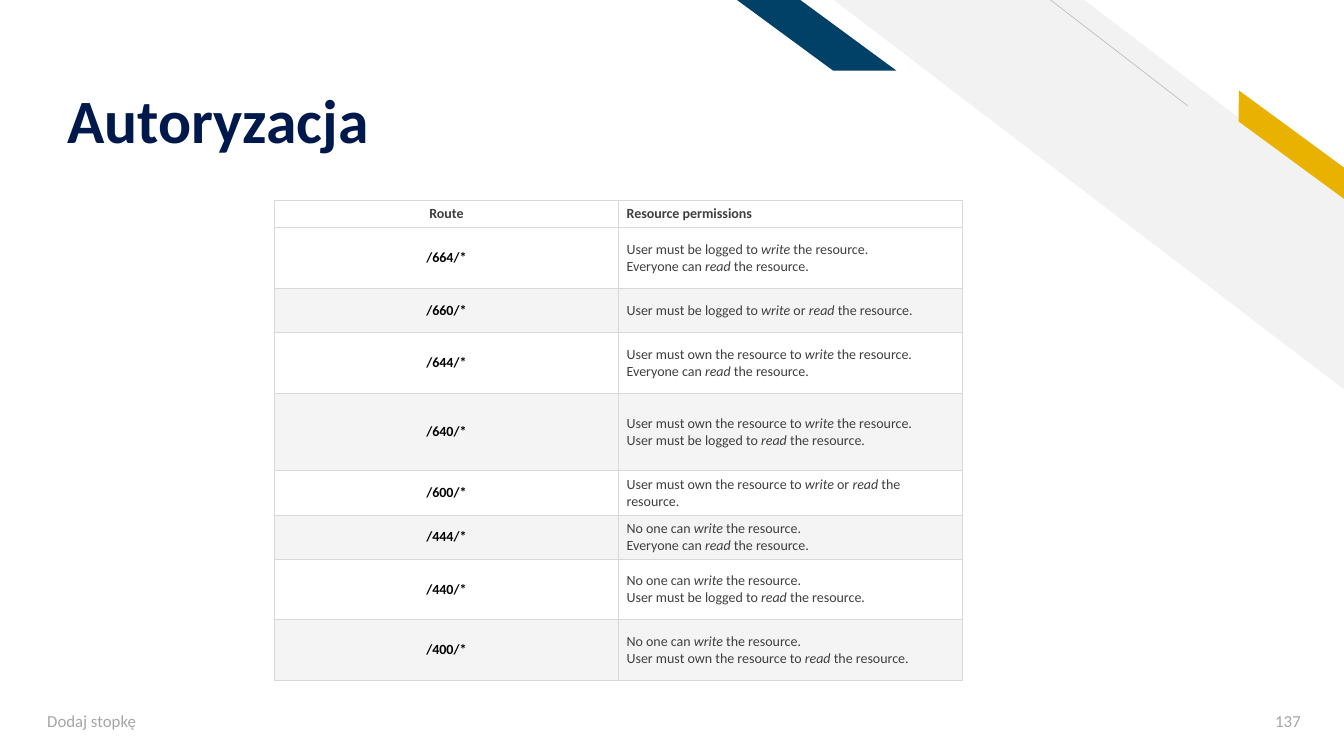
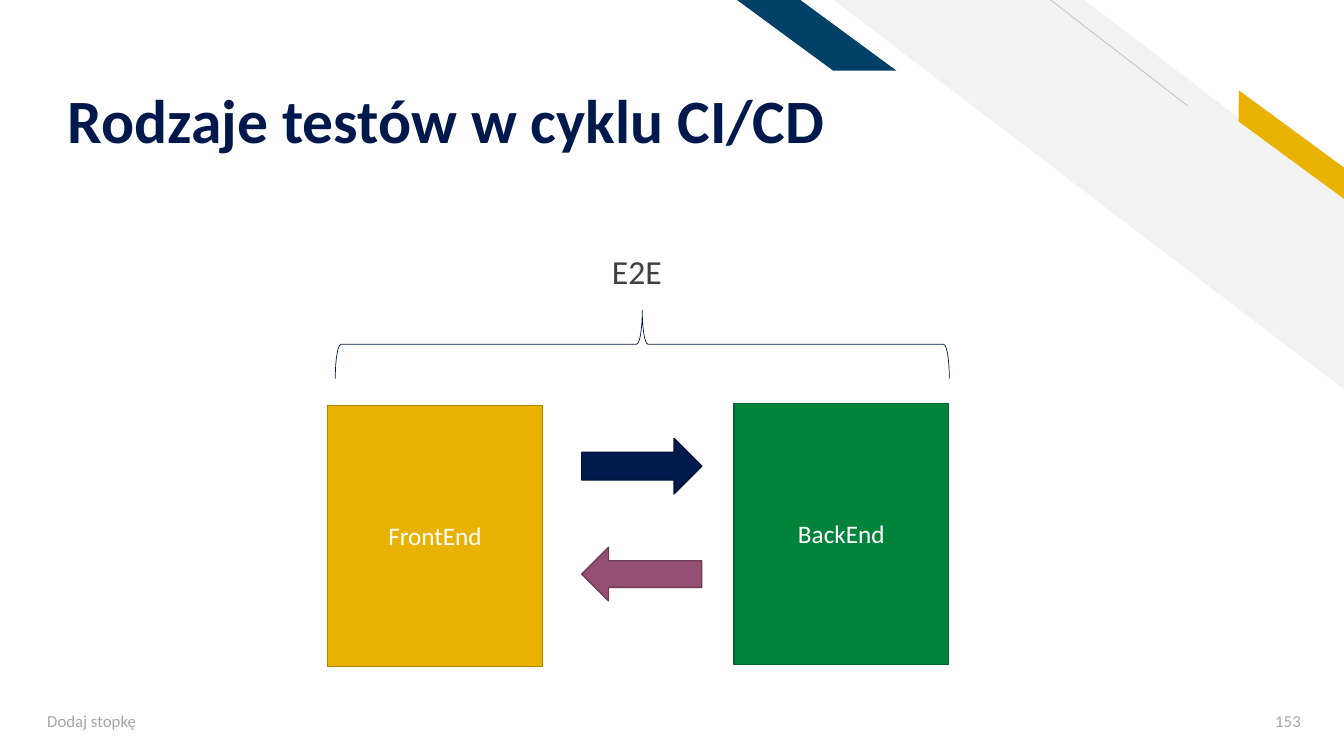
from dataclasses import dataclass
from typing import Any, Optional

from lxml.etree import SubElement
from pptx import Presentation
from pptx.dml.color import RGBColor
from pptx.enum.shapes import MSO_CONNECTOR as Connector, MSO_SHAPE as Preset
from pptx.enum.text import MSO_ANCHOR as Anchor, MSO_AUTO_SIZE as AutoSize, PP_ALIGN as Align
from pptx.oxml.ns import qn
from pptx.util import Inches, Pt


@dataclass(frozen=True)
class Theme:
    font: str = "Calibri"
    navy: str = "00194C"
    navy_edge: str = "001238"
    teal: str = "014067"
    gold: str = "EAB200"
    gold_edge: str = "AD8400"
    green: str = "00843B"
    green_edge: str = "00622C"
    plum: str = "954F72"
    plum_edge: str = "6E3A54"
    pale: str = "F2F2F2"
    stripe: str = "F4F4F4"
    thin: str = "BFBFBF"
    border: str = "D8D8D8"
    muted: str = "A5A5A5"
    body: str = "3F3F3F"
    black: str = "000000"
    white: str = "FFFFFF"
    title_size: int = 44
    label_size: int = 24
    box_size: int = 18
    footer_size: int = 12
    table_size: int = 10


THEME = Theme()


@dataclass(frozen=True)
class Frame:
    left: float
    top: float
    width: float
    height: float

    def lengths(self) -> tuple:
        return tuple(Inches(value) for value in (self.left, self.top, self.width, self.height))


@dataclass(frozen=True)
class Figure:
    preset: Any
    frame: Frame
    fill: Optional[str] = None
    edge: Optional[str] = None
    edge_width: float = 1
    adjust: Optional[float] = None
    rotation: float = 0
    flip: bool = False
    text: str = ""


@dataclass(frozen=True)
class Label:
    frame: Frame
    text: str
    size: int
    color: str
    align: Any = Align.LEFT
    anchor: Any = Anchor.TOP
    grow: bool = False


@dataclass(frozen=True)
class Permission:
    route: str
    lines: tuple
    height: float


DECORATION = (
    Figure(Preset.DIAGONAL_STRIPE, Frame(8.27, 0, 5.07, 3.87), THEME.pale, adjust=0.51, flip=True),
    Figure(Preset.PARALLELOGRAM, Frame(12.07, 1.31, 1.48, 0.25), THEME.gold,
           adjust=0.72, rotation=36.3, flip=True),
    Figure(Preset.PARALLELOGRAM, Frame(7.31, 0, 1.58, 0.7), THEME.teal, adjust=1.36, flip=True),
)
TITLE_FRAME = Frame(0.57, 0.23, 9.11, 1.33)

LOGGED_WRITE = "User must be logged to _write_ the resource."
LOGGED_READ = "User must be logged to _read_ the resource."
OWNER_WRITE = "User must own the resource to _write_ the resource."
OWNER_READ = "User must own the resource to _read_ the resource."
NOBODY_WRITE = "No one can _write_ the resource."
EVERYONE_READ = "Everyone can _read_ the resource."

PERMISSIONS = (
    Permission("/664/*", (LOGGED_WRITE, EVERYONE_READ), 0.6),
    Permission("/660/*", ("User must be logged to _write_ or _read_ the resource.",), 0.44),
    Permission("/644/*", (OWNER_WRITE, EVERYONE_READ), 0.6),
    Permission("/640/*", (OWNER_WRITE, LOGGED_READ), 0.77),
    Permission("/600/*", ("User must own the resource to _write_ or _read_ the resource.",), 0.44),
    Permission("/444/*", (NOBODY_WRITE, EVERYONE_READ), 0.44),
    Permission("/440/*", (NOBODY_WRITE, LOGGED_READ), 0.6),
    Permission("/400/*", (NOBODY_WRITE, OWNER_READ), 0.6),
)
HEADER_HEIGHT = 0.27
TABLE_FRAME = Frame(2.72, 1.99, 6.83, 4.76)

TEST_FIGURES = (
    Figure(Preset.RECTANGLE, Frame(3.25, 4.02, 2.13, 2.59), THEME.gold, THEME.gold_edge, text="FrontEnd"),
    Figure(Preset.RECTANGLE, Frame(7.28, 4, 2.13, 2.59), THEME.green, THEME.green_edge, text="BackEnd"),
    Figure(Preset.RIGHT_ARROW, Frame(5.77, 4.35, 1.19, 0.55), THEME.navy, THEME.navy_edge),
    Figure(Preset.RIGHT_ARROW, Frame(5.77, 5.43, 1.19, 0.53), THEME.plum, THEME.plum_edge, rotation=180),
    Figure(Preset.RIGHT_BRACE, Frame(6.03, 0.37, 0.68, 6.09), edge=THEME.navy, edge_width=0.5, rotation=270),
)
TESTS_LABEL = Label(Frame(5.97, 2.44, 1.39, 0.5), "E2E", THEME.label_size, THEME.body, grow=True)


def assign(target: Any, values: dict) -> None:
    for name, value in values.items():
        setattr(target, name, value)


def paint(fill: Any, color: Optional[str]) -> None:
    if color is None:
        fill.background()
    else:
        fill.solid()
        fill.fore_color.rgb = RGBColor.from_string(color)


def style_font(font: Any, size: int, color: str, bold: bool = False, italic: bool = False) -> None:
    assign(font, {"name": THEME.font, "size": Pt(size), "bold": bold, "italic": italic})
    font.color.rgb = RGBColor.from_string(color)


def draw_figure(page: Any, figure: Figure) -> None:
    shape = page.shapes.add_shape(figure.preset, *figure.frame.lengths())
    shape.shadow.inherit = False
    shape.rotation = figure.rotation
    paint(shape.fill, figure.fill)
    paint(shape.line.fill, figure.edge)
    if figure.edge:
        shape.line.width = Pt(figure.edge_width)
    if figure.adjust is not None:
        shape.adjustments[0] = figure.adjust
    if figure.flip:
        shape.element.spPr.get_or_add_xfrm().set("flipH", "1")
    if figure.text:
        shape.text_frame.vertical_anchor = Anchor.MIDDLE
        para = shape.text_frame.paragraphs[0]
        para.alignment = Align.CENTER
        span = para.add_run()
        span.text = figure.text
        style_font(span.font, THEME.box_size, THEME.white)


def draw_label(page: Any, label: Label) -> None:
    frame = page.shapes.add_textbox(*label.frame.lengths()).text_frame
    assign(frame, {
        "word_wrap": True,
        "vertical_anchor": label.anchor,
        "auto_size": AutoSize.SHAPE_TO_FIT_TEXT if label.grow else AutoSize.NONE,
    })
    para = frame.paragraphs[0]
    para.alignment = label.align
    span = para.add_run()
    span.text = label.text
    style_font(span.font, label.size, label.color)


def draw_thin_line(page: Any) -> None:
    line = page.shapes.add_connector(
        Connector.STRAIGHT, Inches(11.78), Inches(1.05), Inches(10.42), Inches(0))
    line.line.width = Pt(0.5)
    paint(line.line.fill, THEME.thin)
    SubElement(line.element.spPr, qn("a:effectLst"))


def place_title(page: Any, text: str) -> None:
    title = page.shapes.title
    left, top, width, height = TITLE_FRAME.lengths()
    assign(title, {"left": left, "top": top, "width": width, "height": height})
    assign(title.text_frame, {
        "vertical_anchor": Anchor.BOTTOM,
        "auto_size": AutoSize.NONE,
        "word_wrap": True,
        "margin_left": Inches(0.1),
        "margin_right": Inches(0.1),
        "margin_top": Inches(0.05),
        "margin_bottom": Inches(0),
    })
    para = title.text_frame.paragraphs[0]
    assign(para, {"alignment": Align.LEFT, "line_spacing": 0.9})
    span = para.add_run()
    span.text = text
    style_font(span.font, THEME.title_size, THEME.navy, bold=True)
    page.shapes.element.append(title.element)


def add_page(deck: Any, title: str, number: str) -> Any:
    page = deck.slides.add_slide(deck.slide_layouts.get_by_name("Title Only"))
    for figure in DECORATION:
        draw_figure(page, figure)
    draw_thin_line(page)
    place_title(page, title)
    footer = {"size": THEME.footer_size, "color": THEME.muted, "anchor": Anchor.MIDDLE}
    draw_label(page, Label(Frame(0.37, 6.95, 4.5, 0.4), "Dodaj stopkę", **footer))
    draw_label(page, Label(Frame(12.19, 6.95, 0.81, 0.4), number, align=Align.RIGHT, **footer))
    return page


def add_borders(cell: Any) -> None:
    properties = cell._tc.get_or_add_tcPr()
    for side in ("a:lnL", "a:lnR", "a:lnT", "a:lnB"):
        line = SubElement(properties, qn(side), w=str(Pt(0.75)))
        fill = SubElement(line, qn("a:solidFill"))
        SubElement(fill, qn("a:srgbClr"), val=THEME.border)


def fill_cell(cell: Any, lines: tuple, background: str, color: str,
              bold: bool = False, align: Any = Align.LEFT) -> None:
    add_borders(cell)
    paint(cell.fill, background)
    assign(cell, {
        "vertical_anchor": Anchor.MIDDLE,
        "margin_left": Inches(0.08),
        "margin_right": Inches(0.08),
        "margin_top": Inches(0.05),
        "margin_bottom": Inches(0.05),
    })
    para = cell.text_frame.paragraphs[0]
    para.alignment = align
    for line_index, line in enumerate(lines):
        if line_index:
            para.add_line_break()
        for part_index, part in enumerate(line.split("_")):
            span = para.add_run()
            span.text = part
            style_font(span.font, THEME.table_size, color, bold=bold, italic=part_index % 2 == 1)


def draw_permissions(page: Any) -> None:
    table = page.shapes.add_table(len(PERMISSIONS) + 1, 2, *TABLE_FRAME.lengths()).table
    assign(table, {"first_row": False, "horz_banding": False})
    for column in table.columns:
        column.width = Inches(TABLE_FRAME.width / 2)
    table.rows[0].height = Inches(HEADER_HEIGHT)
    fill_cell(table.cell(0, 0), ("Route",), THEME.white, THEME.body, True, Align.CENTER)
    fill_cell(table.cell(0, 1), ("Resource permissions",), THEME.white, THEME.body, True)
    for row, permission in enumerate(PERMISSIONS, start=1):
        background = THEME.white if row % 2 else THEME.stripe
        table.rows[row].height = Inches(permission.height)
        fill_cell(table.cell(row, 0), (permission.route,), background, THEME.black, True, Align.CENTER)
        fill_cell(table.cell(row, 1), permission.lines, background, THEME.body)


def main() -> None:
    deck = Presentation()
    assign(deck, {"slide_width": Inches(13.33), "slide_height": Inches(7.5)})
    draw_permissions(add_page(deck, "Autoryzacja", "137"))
    tests = add_page(deck, "Rodzaje testów w cyklu CI/CD", "153")
    for figure in TEST_FIGURES:
        draw_figure(tests, figure)
    draw_label(tests, TESTS_LABEL)
    deck.save("out.pptx")


if __name__ == "__main__":
    main()
